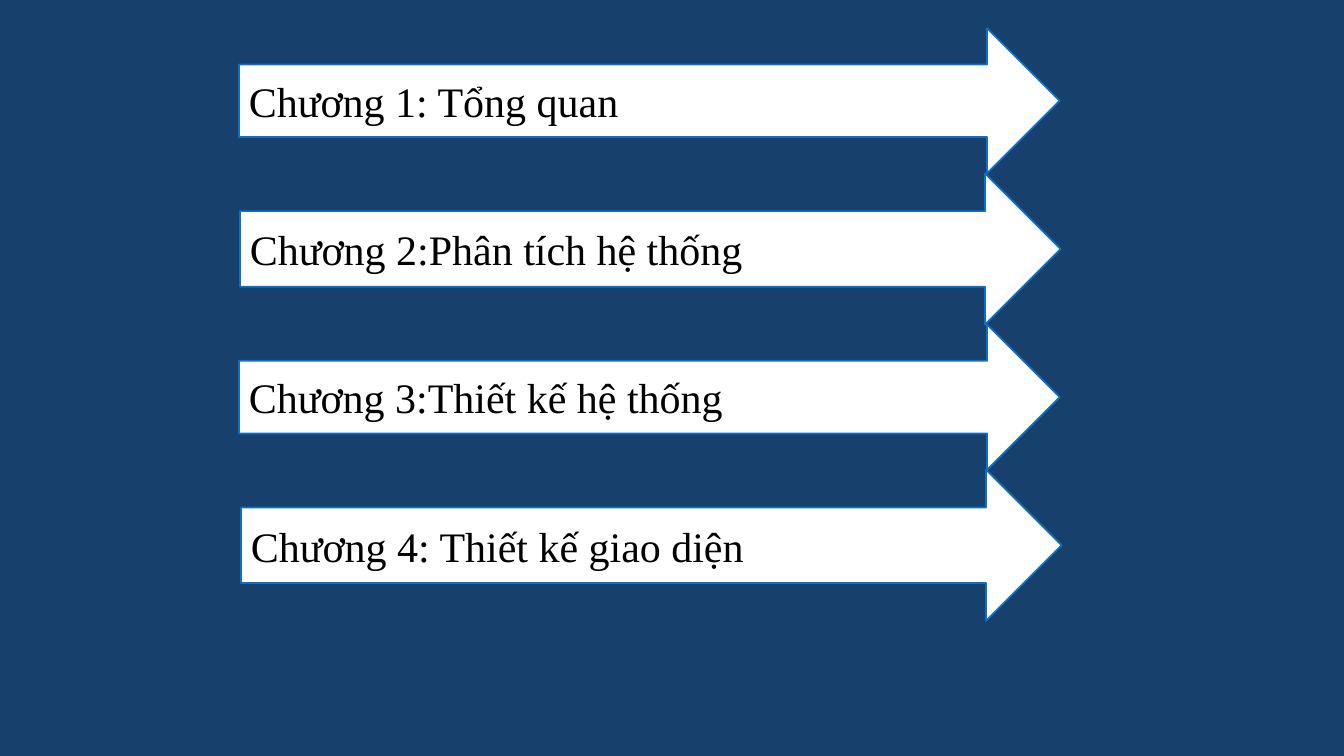
from pptx import Presentation
from pptx.dml.color import RGBColor
from pptx.enum.shapes import MSO_SHAPE
from pptx.enum.text import MSO_ANCHOR, PP_ALIGN
from pptx.util import Inches, Pt

FIRST_TOP = 0.28
ARROW_WIDTH = 8.14
# Chapter title, left edge and height in inches
CHAPTERS = [
    ("Chương 1: Tổng quan", 2.37, 1.44),
    ("Chương 2:Phân tích hệ thống", 2.38, 1.5),
    ("Chương 3:Thiết kế hệ thống", 2.37, 1.44),
    ("Chương 4: Thiết kế giao diện", 2.39, 1.5),
]


def paint(fill, color):
    fill.solid()
    fill.fore_color.rgb = RGBColor.from_string(color)


def add_chapter_arrow(page, title, left, top, height):
    arrow = page.shapes.add_shape(
        MSO_SHAPE.RIGHT_ARROW,
        Inches(left), Inches(top), Inches(ARROW_WIDTH), Inches(height),
    )
    arrow.shadow.inherit = False
    paint(arrow.fill, "FFFFFF")
    paint(arrow.line.fill, "0F6FC6")
    arrow.line.width = Pt(1.25)

    frame = arrow.text_frame
    frame.word_wrap = True
    frame.vertical_anchor = MSO_ANCHOR.MIDDLE
    para = frame.paragraphs[0]
    para.text = title
    para.alignment = PP_ALIGN.LEFT
    para.font.name = "Times New Roman"
    para.font.size = Pt(30)
    paint(para.font.fill, "000000")


def main():
    deck = Presentation()
    deck.slide_width = Inches(13.33)
    deck.slide_height = Inches(7.5)
    page = deck.slides.add_slide(deck.slide_layouts[6])
    paint(page.background.fill, "17406D")

    top = FIRST_TOP
    for title, left, height in CHAPTERS:
        add_chapter_arrow(page, title, left, top, height)
        top += height

    deck.save("out.pptx")


if __name__ == "__main__":
    main()
